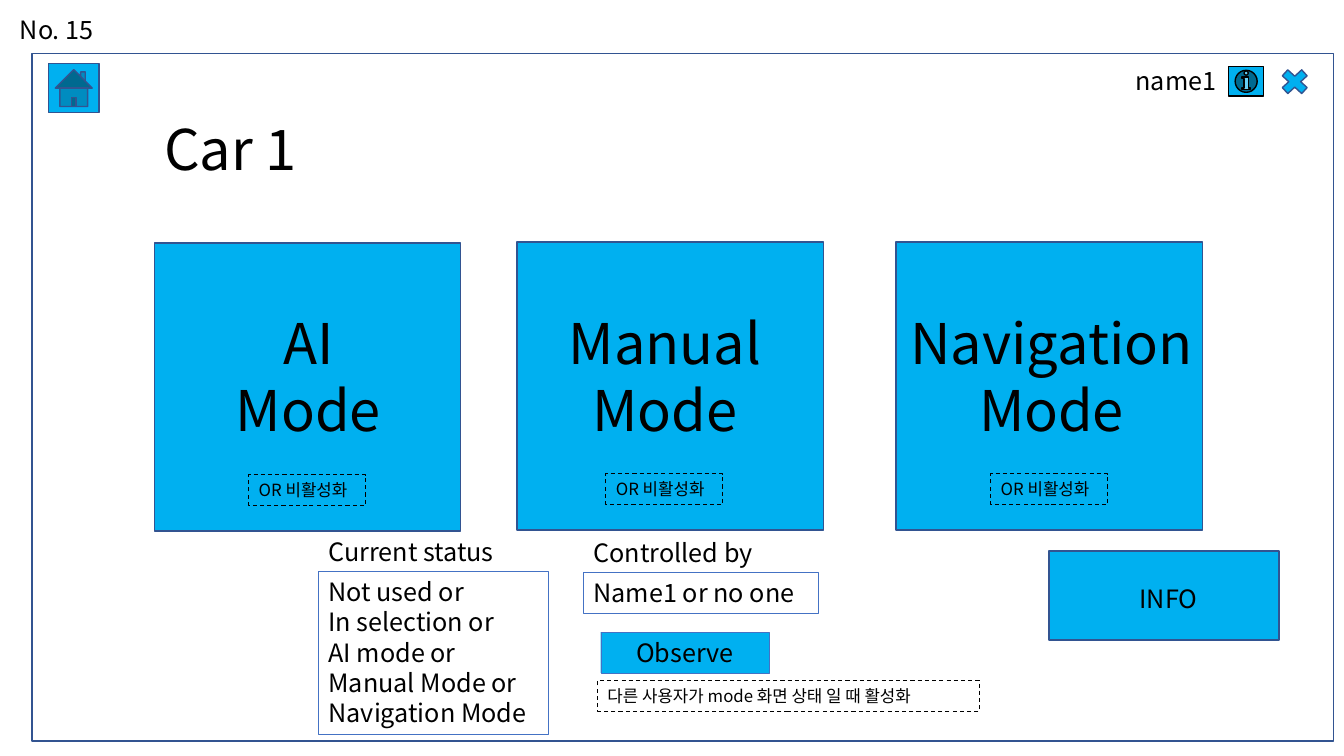
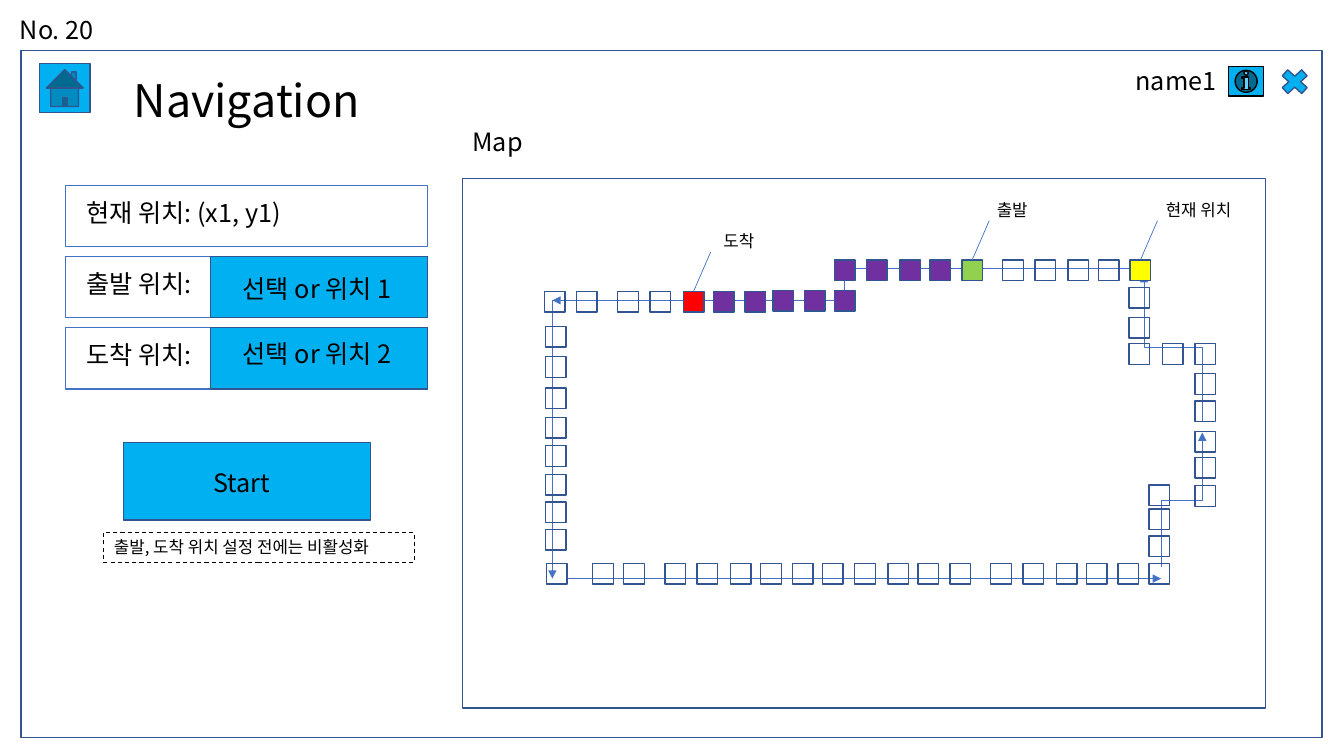
from dataclasses import dataclass
from itertools import cycle, product
from typing import NamedTuple, Optional

from pptx import Presentation
from pptx.dml.color import RGBColor
from pptx.enum.dml import MSO_LINE
from pptx.enum.shapes import MSO_CONNECTOR as Link, MSO_SHAPE as Shape
from pptx.enum.text import MSO_AUTO_SIZE as AutoSize, PP_ALIGN as Align
from pptx.oxml.ns import qn
from pptx.util import Cm, Pt
from lxml.etree import SubElement

BLACK = RGBColor(0x00, 0x00, 0x00)
SKY = RGBColor(0x00, 0xB0, 0xF0)
NAVY = RGBColor(0x32, 0x54, 0x91)
BLUE = RGBColor(0x44, 0x72, 0xC4)
PURPLE = RGBColor(0x70, 0x30, 0xA0)
GREEN = RGBColor(0x92, 0xD0, 0x50)
YELLOW = RGBColor(0xFF, 0xFF, 0x00)
RED = RGBColor(0xFF, 0x00, 0x00)

FONT = "Noto Sans CJK KR"
CELL = 0.52
LINE_HEIGHT = 1.03
NOTE_HEIGHT = 0.77


class Box(NamedTuple):
    """A rectangle in centimetres."""
    left: float
    top: float
    width: float
    height: float

    def lengths(self) -> list:
        return [Cm(value) for value in self]


@dataclass
class Mode:
    name: str
    card: Box
    title_left: float
    title_width: float
    note_left: float


@dataclass
class CellRun:
    """Map cells at every pairing of lefts and tops, fills in turn."""
    lefts: tuple
    tops: tuple
    fills: tuple = (None,)


class Place(NamedTuple):
    name: str
    fill: RGBColor
    label: Box


def five_from(left: float) -> tuple:
    return tuple(left + step for step in (0, 0.81, 1.65, 2.41, 3.21))


MODES = (
    Mode("AI", Box(3.89, 6.12, 7.72, 7.26), 5.33, 4.88, 6.27),
    Mode("Manual", Box(13.03, 6.1, 7.72, 7.26), 14, 5.51, 15.27),
    Mode("Navigation", Box(22.58, 6.1, 7.72, 7.26), 22.63, 7.74, 24.97),
)

TOP_ROW, MIDDLE_ROW, BOTTOM_ROW = 6.55, 7.34, 14.2
CELL_RUNS = (
    CellRun(five_from(21.03), (TOP_ROW,), (PURPLE,) * 4 + (GREEN,)),
    CellRun(five_from(25.27), (TOP_ROW,), (None,) * 4 + (YELLOW,)),
    CellRun((28.45,), (7.24, 8, 8.66)),
    CellRun((29.29,), (8.66,)),
    CellRun((30.12,), (8.66, 9.42, 10.11, 10.87, 11.53, 12.24)),
    CellRun((28.96,), (12.22, 12.83, 13.51, BOTTOM_ROW)),
    CellRun(five_from(16.76) + five_from(20.73) + five_from(24.97),
            (BOTTOM_ROW,)),
    CellRun((13.77, 14.94, 15.72), (BOTTOM_ROW,)),
    CellRun((13.75,), (8.23, 8.99, 9.78, 10.52, 11.23, 11.96, 12.65, 13.34)),
    CellRun((13.72, 14.53), (MIDDLE_ROW,)),
    CellRun(five_from(15.57), (MIDDLE_ROW,),
            (None, None, RED, PURPLE, PURPLE)),
    CellRun((19.48, 20.27, 21.03), (7.32,), (PURPLE,)),
)

PLACES = (
    Place("출발", GREEN, Box(24.87, 4.9, 1.6, NOTE_HEIGHT)),
    Place("도착", RED, Box(17.98, 5.69, 1.6, NOTE_HEIGHT)),
    Place("현재 위치", YELLOW, Box(29.13, 4.9, 2.54, NOTE_HEIGHT)),
)


def paint(shape, fill: Optional[RGBColor], line: Optional[RGBColor],
          weight: float) -> None:
    if fill is None:
        shape.fill.background()
    else:
        shape.fill.solid()
        shape.fill.fore_color.rgb = fill
    if line is not None:
        shape.line.color.rgb = line
        shape.line.width = Pt(weight)


def add_panel(page, box: Box, *, kind=Shape.RECTANGLE,
              fill: Optional[RGBColor] = None, line: RGBColor = NAVY,
              weight: float = 1):
    panel = page.shapes.add_shape(kind, *box.lengths())
    panel.shadow.inherit = False
    paint(panel, fill, line, weight)
    return panel


def add_label(page, text: str, box: Box, *, size: float = 18,
              align=Align.LEFT, fill: Optional[RGBColor] = None,
              line: Optional[RGBColor] = None, weight: float = 0.75):
    label = page.shapes.add_textbox(*box.lengths())
    paint(label, fill, line, weight)
    frame = label.text_frame
    frame.word_wrap = True
    frame.auto_size = AutoSize.SHAPE_TO_FIT_TEXT
    frame.text = text
    for para in frame.paragraphs:
        para.alignment = align
        for span in para.runs:
            span.font.size = Pt(size)
            span.font.name = FONT
            span.font.color.rgb = BLACK
            east_asian = SubElement(span.font._element, qn("a:ea"))
            east_asian.set("typeface", FONT)
    return label


def add_note(page, text: str, left: float, top: float, width: float) -> None:
    """Draw a small remark in a dashed border."""
    note = add_label(page, text, Box(left, top, width, NOTE_HEIGHT),
                     size=12, line=BLACK)
    note.line.dash_style = MSO_LINE.DASH


def add_link(page, start: tuple, end: tuple, *, kind=Link.STRAIGHT,
             arrow: bool = True):
    link = page.shapes.add_connector(
        kind, *[Cm(value) for value in (*start, *end)])
    link.line.color.rgb = BLUE
    link.line.width = Pt(0.5)
    if arrow:
        SubElement(link.line._get_or_add_ln(), qn("a:tailEnd"), type="triangle")
    SubElement(link._element.spPr, qn("a:effectLst"))
    return link


def add_upright_elbow(page, start: tuple, end: tuple) -> None:
    """Draw an elbow that leaves and arrives vertically, by a quarter turn."""
    middle_x = (start[0] + end[0]) / 2
    middle_y = (start[1] + end[1]) / 2
    turned = [(middle_x - (y - middle_y), middle_y + (x - middle_x))
              for x, y in (start, end)]
    link = add_link(page, *turned, kind=Link.ELBOW)
    link._element.spPr.find(qn("a:xfrm")).set("rot", str(270 * 60000))


def add_screen(deck, number: int, frame_left: float, frame_top: float,
               home_left: float):
    """Add a page with the screen frame, home button and user corner."""
    page = deck.slides.add_slide(deck.slide_layouts[6])
    add_label(page, f"No. {number}", Box(0.25, 0.23, 2.87, LINE_HEIGHT))
    add_panel(page, Box(frame_left, frame_top, 32.79, 17.32))
    add_panel(page, Box(home_left, 1.6, 1.28, 1.24),
              kind=Shape.ACTION_BUTTON_HOME, fill=SKY)
    add_label(page, "name1", Box(28.37, 1.52, 2.59, LINE_HEIGHT))
    add_panel(page, Box(30.96, 1.68, 0.89, 0.74),
              kind=Shape.ACTION_BUTTON_INFORMATION, fill=SKY, line=BLACK)
    add_panel(page, Box(32.16, 1.63, 0.94, 0.86),
              kind=Shape.MATH_MULTIPLY, fill=SKY)
    return page


def build_car_page(deck) -> None:
    page = add_screen(deck, 15, 0.81, 1.35, 1.22)
    add_label(page, "Car 1", Box(3.89, 2.77, 6.17, 1.96), size=40)
    for mode in MODES:
        add_panel(page, mode.card, fill=SKY)
        add_label(page, f"{mode.name}\nMode",
                  Box(mode.title_left, 7.65, mode.title_width, 3.68),
                  size=40, align=Align.CENTER)
        add_note(page, "OR 비활성화", mode.note_left,
                 mode.card.top + 5.84, 2.95)

    add_label(page, "Current status", Box(8.03, 13.39, 6.1, LINE_HEIGHT))
    add_label(page, "Not used or\nIn selection or\nAI mode or\n"
              "Manual Mode or\nNavigation Mode",
              Box(8.03, 14.4, 5.79, 4.11), line=BLUE)
    add_label(page, "Controlled by", Box(14.71, 13.41, 6.1, LINE_HEIGHT))
    add_label(page, "Name1 or no one", Box(14.71, 14.43, 5.92, LINE_HEIGHT),
              line=BLUE)
    add_label(page, "Observe", Box(15.14, 15.93, 4.24, LINE_HEIGHT),
              align=Align.CENTER, fill=SKY, line=BLUE, weight=0.25)
    add_note(page, "다른 사용자가 mode 화면 상태 일 때 활성화", 15.06, 17.15, 9.63)
    add_panel(page, Box(26.44, 13.89, 5.79, 2.24), fill=SKY)
    add_label(page, "INFO", Box(28.47, 14.58, 2.03, LINE_HEIGHT))


def add_position_form(page) -> None:
    rows = (("현재 위치: (x1, y1)", None, 0),
            ("출발 위치:", "선택 or 위치 1", 0.3),
            ("도착 위치:", "선택 or 위치 2", 0.15))
    for index, (caption, choice, choice_drop) in enumerate(rows):
        top = 4.68 + 1.79 * index
        add_panel(page, Box(1.65, top, 9.12, 1.54), line=BLUE)
        add_label(page, caption, Box(1.93, top + 0.17, 6.43, LINE_HEIGHT))
        if choice:
            add_panel(page, Box(5.3, top, 5.47, 1.54), fill=SKY)
            add_label(page, choice,
                      Box(5.87, top + choice_drop, 4.9, LINE_HEIGHT))

    add_panel(page, Box(3.12, 11.15, 6.22, 1.96), fill=SKY)
    add_label(page, "Start", Box(5.13, 11.66, 5.64, LINE_HEIGHT))
    add_note(page, "출발, 도착 위치 설정 전에는 비활성화", 2.62, 13.41, 7.82)


def add_route(page) -> None:
    """Draw the one-way loop that the cells lie on."""
    add_link(page, (28.63, 6.76), (13.92, 7.57), kind=Link.ELBOW)
    add_link(page, (13.92, 7.57), (13.92, 14.58))
    add_link(page, (14.3, 14.58), (29.26, 14.58))
    add_upright_elbow(page, (29.26, 14.3), (30.3, 10.9))
    add_upright_elbow(page, (30.3, 10.62), (28.83, 6.91))


def add_cells(page) -> dict:
    """Draw the map cells and return the latest one of each fill."""
    cells = {}
    for run in CELL_RUNS:
        spots = product(run.lefts, run.tops)
        for (left, top), fill in zip(spots, cycle(run.fills)):
            cells[fill] = add_panel(page, Box(left, top, CELL, CELL),
                                    fill=fill)
    return cells


def build_navigation_page(deck) -> None:
    page = add_screen(deck, 20, 0.53, 1.27, 0.99)
    add_label(page, "Navigation", Box(3.12, 1.7, 8.94, 1.63), size=32)
    add_position_form(page)
    add_label(page, "Map", Box(11.66, 3.05, 3.99, LINE_HEIGHT))
    add_panel(page, Box(11.66, 4.5, 20.24, 13.34))
    add_route(page)
    cells = add_cells(page)
    for place in PLACES:
        cell = cells[place.fill]
        middle, top = (cell.left + cell.width / 2) / Cm(1), cell.top / Cm(1)
        leader = add_link(page, (middle + 0.43, top - 0.99), (middle, top),
                          arrow=False)
        leader.end_connect(cell, 0)
        add_label(page, place.name, place.label, size=12)


def main() -> None:
    deck = Presentation()
    deck.slide_width = Cm(33.87)
    deck.slide_height = Cm(19.05)
    build_car_page(deck)
    build_navigation_page(deck)
    deck.save("out.pptx")


if __name__ == "__main__":
    main()
